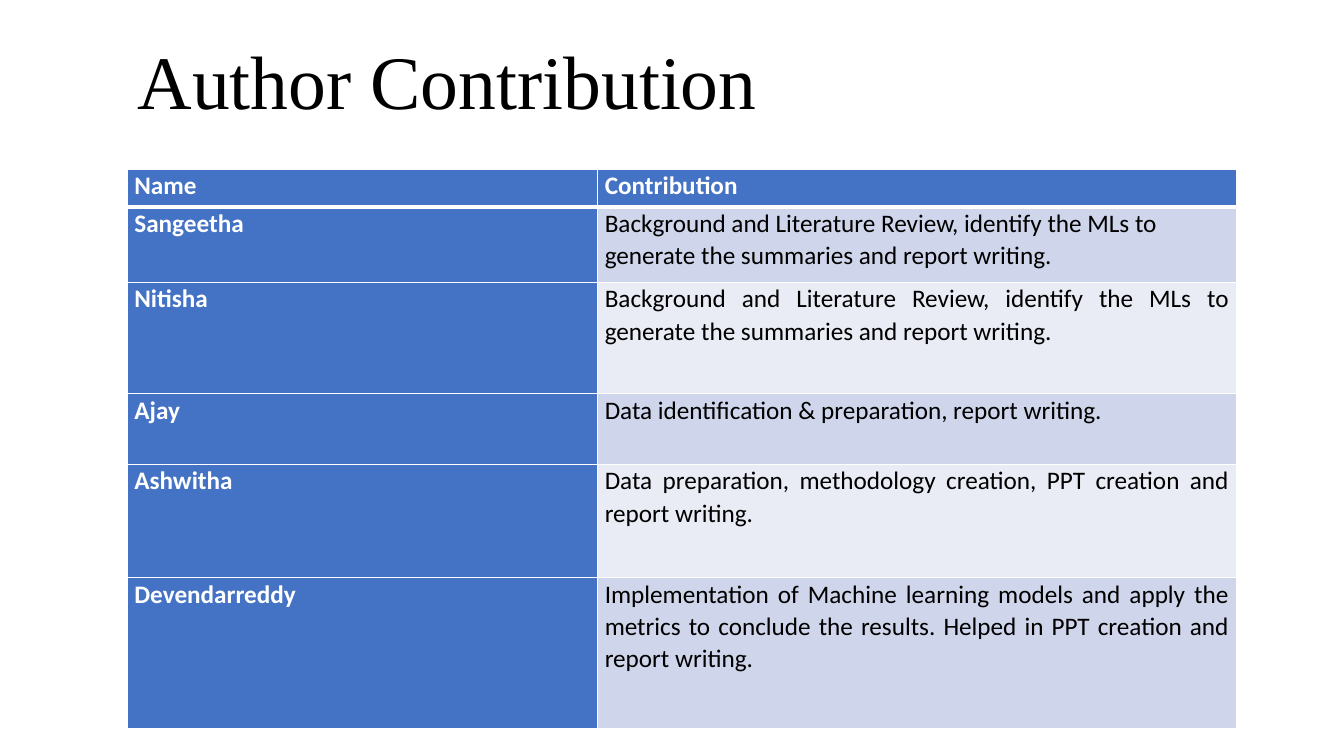
from pptx import Presentation
from pptx.dml.color import RGBColor
from pptx.enum import text
from pptx.oxml import parse_xml
from pptx.oxml.ns import nsdecls
from pptx.util import Pt

WHITE, BLACK, BLUE = "FFFFFF", "000000", "4472C4"
BANDS = ("CFD5EA", "E9EBF5")
REVIEW = ("Background and Literature Review, identify the MLs to "
          "generate the summaries and report writing.")
ROWS = [
    ("Name", "Contribution"),
    ("Sangeetha", REVIEW),
    ("Nitisha", REVIEW),
    ("Ajay", "Data identification & preparation, report writing."),
    ("Ashwitha", "Data preparation, methodology creation, PPT creation "
                 "and report writing."),
    ("Devendarreddy", "Implementation of Machine learning models and apply "
                      "the metrics to conclude the results. Helped in PPT "
                      "creation and report writing."),
]
COLUMN_WIDTHS = (336, 456)
ROW_HEIGHTS = (26.7, 54, 79.5, 50.5, 81, 108)


def color(value):
    return RGBColor.from_string(value)


class Page:
    title_font = "Times New Roman"
    table_font = "Calibri"

    def __init__(self, deck):
        self.slide = deck.slides.add_slide(deck.slide_layouts[5])

    def format_para(self, para, font, size, ink, align, spacing, bold=False):
        para.alignment = align
        para.line_spacing = spacing
        para.font.name = font
        para.font.size = Pt(size)
        para.font.bold = bold
        para.font.color.rgb = color(ink)

    def title(self, words, left, top, width, height):
        box = self.slide.shapes.title
        box.left, box.top = Pt(left), Pt(top)
        box.width, box.height = Pt(width), Pt(height)
        frame = box.text_frame
        frame.text = words
        frame.auto_size = text.MSO_AUTO_SIZE.NONE
        frame.vertical_anchor = text.MSO_ANCHOR.MIDDLE
        para = frame.paragraphs[0]
        para.space_before = Pt(10)
        self.format_para(para, self.title_font, 54, BLACK,
                         text.PP_ALIGN.LEFT, 0.9)

    def border(self, cell, **widths):
        """Add white borders; keys are lnL, lnR, lnT and lnB, in that order."""
        properties = cell._tc.get_or_add_tcPr()
        for index, (side, width) in enumerate(widths.items()):
            properties.insert(index, parse_xml(
                f'<a:{side} {nsdecls("a")} w="{Pt(width)}"><a:solidFill>'
                f'<a:srgbClr val="{WHITE}"/></a:solidFill></a:{side}>'))

    def cell(self, cell, words, fill, ink, bold, align):
        cell.text = words
        cell.fill.solid()
        cell.fill.fore_color.rgb = color(fill)
        cell.margin_left = cell.margin_right = Pt(5)
        cell.margin_top = cell.margin_bottom = 0
        self.format_para(cell.text_frame.paragraphs[0], self.table_font, 18,
                         ink, align, 1.05, bold)

    def table(self, rows, left, top, widths, heights):
        table = self.slide.shapes.add_table(
            len(rows), len(widths), Pt(left), Pt(top),
            Pt(sum(widths)), Pt(sum(heights))).table
        for column, width in zip(table.columns, widths):
            column.width = Pt(width)
        for row, height in zip(table.rows, heights):
            row.height = Pt(height)
        for r, row in enumerate(rows):
            for c, words in enumerate(row):
                heading = r == 0 or c == 0
                fill = BLUE if heading else BANDS[(r - 1) % 2]
                ragged = (r, c) == (1, 1)
                align = text.PP_ALIGN.LEFT if ragged else text.PP_ALIGN.JUSTIFY
                cell = table.cell(r, c)
                self.cell(cell, words, fill, WHITE if heading else BLACK,
                          heading, align)
                self.border(cell, lnL=1, lnR=1, lnT=3 if r == 1 else 1,
                            lnB=3 if r == 0 else 1)


def main():
    deck = Presentation()
    deck.slide_width, deck.slide_height = Pt(960), Pt(540)
    page = Page(deck)
    page.title("Author Contribution", 91, 26, 682.5, 69)
    page.table(ROWS, 91, 121, COLUMN_WIDTHS, ROW_HEIGHTS)
    deck.save("out.pptx")


if __name__ == "__main__":
    main()
